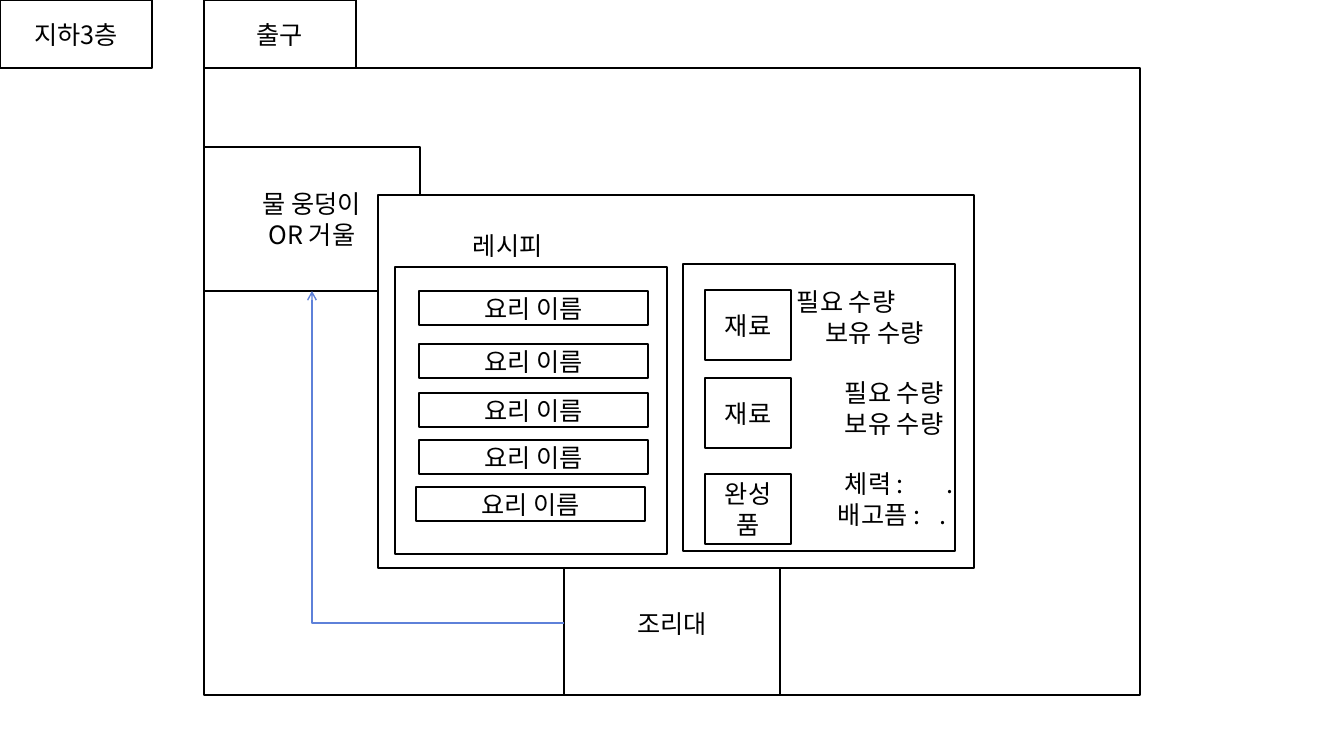
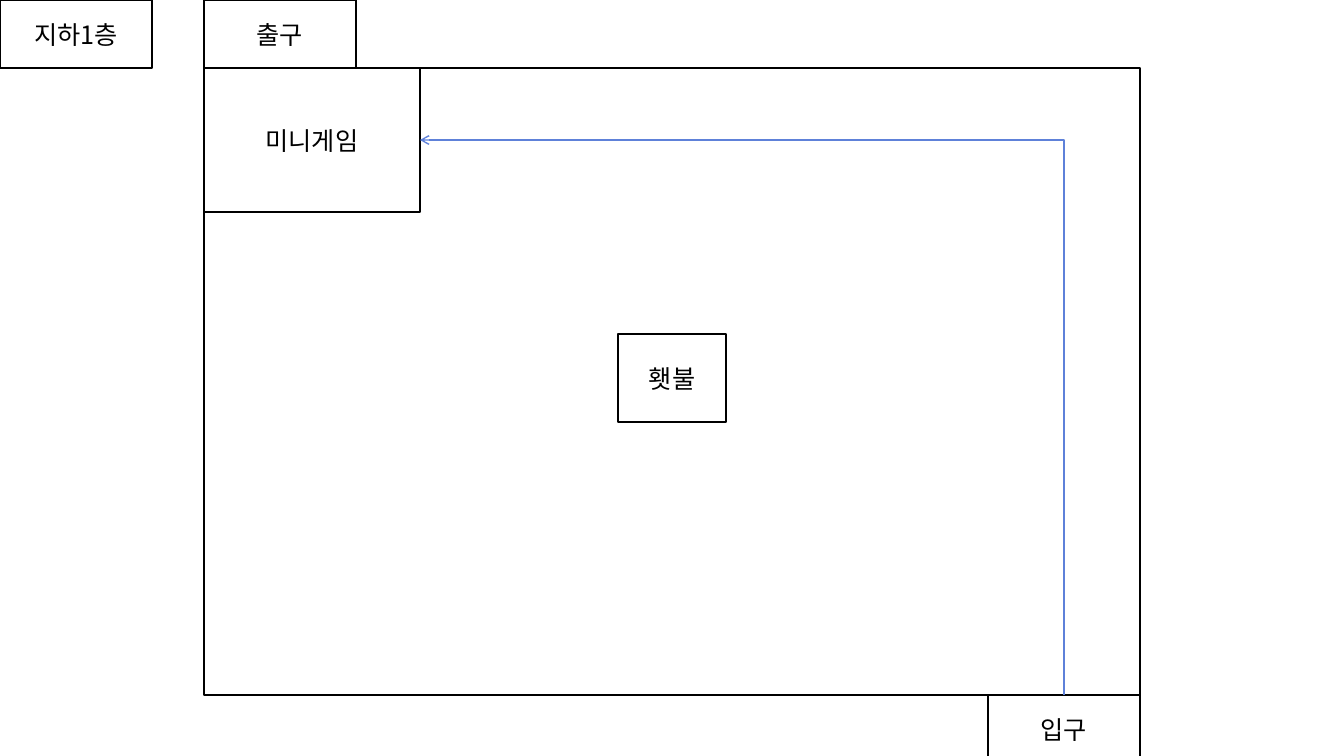
from dataclasses import dataclass

from lxml.etree import SubElement
from pptx import Presentation
from pptx.dml.color import RGBColor
from pptx.enum.shapes import MSO_CONNECTOR as Link, MSO_SHAPE as Preset
from pptx.enum.text import MSO_ANCHOR as Anchor, MSO_AUTO_SIZE as AutoSize, PP_ALIGN as Align
from pptx.oxml.ns import qn
from pptx.util import Pt

SLIDE_W, SLIDE_H = 1344, 756
SCALE = 12192000 / SLIDE_W


@dataclass(frozen=True)
class Theme:
    paper: RGBColor = RGBColor(0xFF, 0xFF, 0xFF)
    ink: RGBColor = RGBColor(0, 0, 0)
    route: RGBColor = RGBColor(0x5E, 0x81, 0xD9)
    font: str = "Noto Sans CJK KR"
    size: Pt = Pt(18)
    outline: Pt = Pt(1.5)
    route_width: Pt = Pt(1)


@dataclass(frozen=True)
class Box:
    x: int
    y: int
    w: int
    h: int

    def inner(self, dx, dy, w, h):
        return Box(self.x + dx, self.y + dy, w, h)

    def emu(self):
        return [px(side) for side in (self.x, self.y, self.w, self.h)]


THEME = Theme()
ROOM = Box(204, 68, 936, 627)
DOOR_W, DOOR_H = 152, 68
SPOT_W, SPOT_H = 216, 144
TOP, LEFT, BOTTOM, RIGHT = range(4)


def px(length):
    return round(length * SCALE)


def apply(target, values):
    for name, value in values.items():
        setattr(target, name, value)


def write(shape, lines, align, side_margin):
    frame = shape.text_frame
    frame.text = "\n".join(lines)
    apply(frame, dict(word_wrap=True, auto_size=AutoSize.NONE, vertical_anchor=Anchor.MIDDLE,
                      margin_left=px(side_margin), margin_right=px(side_margin),
                      margin_top=0, margin_bottom=0))
    for paragraph in frame.paragraphs:
        paragraph.alignment = align
        for run in paragraph.runs:
            apply(run.font, dict(name=THEME.font, size=THEME.size, bold=False))
            run.font.color.rgb = THEME.ink
    for props in shape.element.iter(qn("a:rPr")):
        SubElement(props, qn("a:ea"), typeface=THEME.font)


def outline(shape, *lines):
    shape.fill.solid()
    shape.fill.fore_color.rgb = THEME.paper
    shape.line.color.rgb = THEME.ink
    shape.line.width = THEME.outline
    if lines:
        write(shape, lines, Align.CENTER, 10)


def add_block(slide, box, *lines):
    block = slide.shapes.add_shape(Preset.RECTANGLE, *box.emu())
    block.shadow.inherit = False
    outline(block, *lines)
    return block


def add_note(slide, box, lines, indents=(), tab=None):
    note = slide.shapes.add_textbox(*box.emu())
    write(note, lines, Align.LEFT, 0)
    for props, indent in zip(note.element.iter(qn("a:pPr")), indents):
        props.set("marL", str(px(indent)))
        if tab:
            stops = SubElement(props, qn("a:tabLst"))
            SubElement(stops, qn("a:tab"), pos=str(px(tab)), algn="l")


def turn_quarter(route):
    begin_x, begin_y, end_x, end_y = route.begin_x, route.begin_y, route.end_x, route.end_y
    mid_x, mid_y = (begin_x + end_x) // 2, (begin_y + end_y) // 2
    apply(route, dict(begin_x=mid_x + begin_y - mid_y, begin_y=mid_y - begin_x + mid_x,
                      end_x=mid_x + end_y - mid_y, end_y=mid_y - end_x + mid_x))
    next(route.element.iter(qn("a:xfrm"))).set("rot", "5400000")


def add_route(slide, start, start_side, goal, goal_side):
    route = slide.shapes.add_connector(Link.ELBOW, 0, 0, 0, 0)
    route.begin_connect(start, start_side)
    route.end_connect(goal, goal_side)
    route.line.color.rgb = THEME.route
    route.line.width = THEME.route_width
    next(route.element.iter(qn("a:prstGeom"))).set("prst", "bentConnector2")
    line = next(route.element.iter(qn("a:ln")))
    SubElement(line, qn("a:tailEnd"), type="arrow")
    SubElement(line.getparent(), qn("a:effectLst"))
    if start_side in (TOP, BOTTOM):
        turn_quarter(route)


def add_floor(deck, name):
    slide = deck.slides.add_slide(deck.slide_layouts[5])
    floor_label = slide.shapes.title
    apply(floor_label, dict(zip(("left", "top", "width", "height"),
                                Box(0, 0, DOOR_W, DOOR_H).emu())))
    outline(floor_label, name)
    add_block(slide, ROOM)
    add_block(slide, ROOM.inner(0, -DOOR_H, DOOR_W, DOOR_H), "출구")
    return slide


def add_recipe_list(slide, box):
    add_block(slide, box)
    for dx, dy in ((24, 24), (24, 77), (24, 126), (24, 173), (21, 220)):
        add_block(slide, box.inner(dx, dy, 229, 34), "요리 이름")


def add_recipe_detail(slide, box):
    add_block(slide, box)
    amounts = ("필요 수량", "보유 수량")
    rows = (
        (26, "재료", 114, 23, amounts, (0, 28), None),
        (114, "재료", 162, 114, amounts, (0, 0), None),
        (210, "완성품", 155, 205, ("체력 :\t.", "배고픔 :\t."), (7, 0), 102),
    )
    for item_y, item, note_x, note_y, lines, indents, tab in rows:
        add_block(slide, box.inner(22, item_y, 86, 70), item)
        add_note(slide, box.inner(note_x, note_y, box.w - note_x, 60), lines, indents, tab)


def add_recipe_window(slide, box):
    add_block(slide, box)
    add_note(slide, box.inner(95, 35, 100, 30), ["레시피"])
    add_recipe_list(slide, box.inner(17, 72, 272, 287))
    add_recipe_detail(slide, box.inner(305, 69, 272, 287))


def add_kitchen_floor(deck):
    slide = add_floor(deck, "지하3층")
    counter = add_block(slide, ROOM.inner(360, ROOM.h - SPOT_H, SPOT_W, SPOT_H), "조리대")
    puddle = add_block(slide, ROOM.inner(0, 79, SPOT_W, SPOT_H), "물 웅덩이", "OR 거울")
    add_route(slide, counter, LEFT, puddle, BOTTOM)
    add_recipe_window(slide, ROOM.inner(174, 127, 596, 373))


def add_minigame_floor(deck):
    slide = add_floor(deck, "지하1층")
    minigame = add_block(slide, ROOM.inner(0, 0, SPOT_W, SPOT_H), "미니게임")
    entrance = add_block(slide, ROOM.inner(ROOM.w - DOOR_W, ROOM.h, DOOR_W, DOOR_H), "입구")
    add_route(slide, entrance, TOP, minigame, RIGHT)
    add_block(slide, ROOM.inner(414, 266, 108, 88), "횃불")


def main():
    deck = Presentation()
    apply(deck, dict(slide_width=px(SLIDE_W), slide_height=px(SLIDE_H)))
    add_kitchen_floor(deck)
    add_minigame_floor(deck)
    deck.save("out.pptx")


if __name__ == "__main__":
    main()
